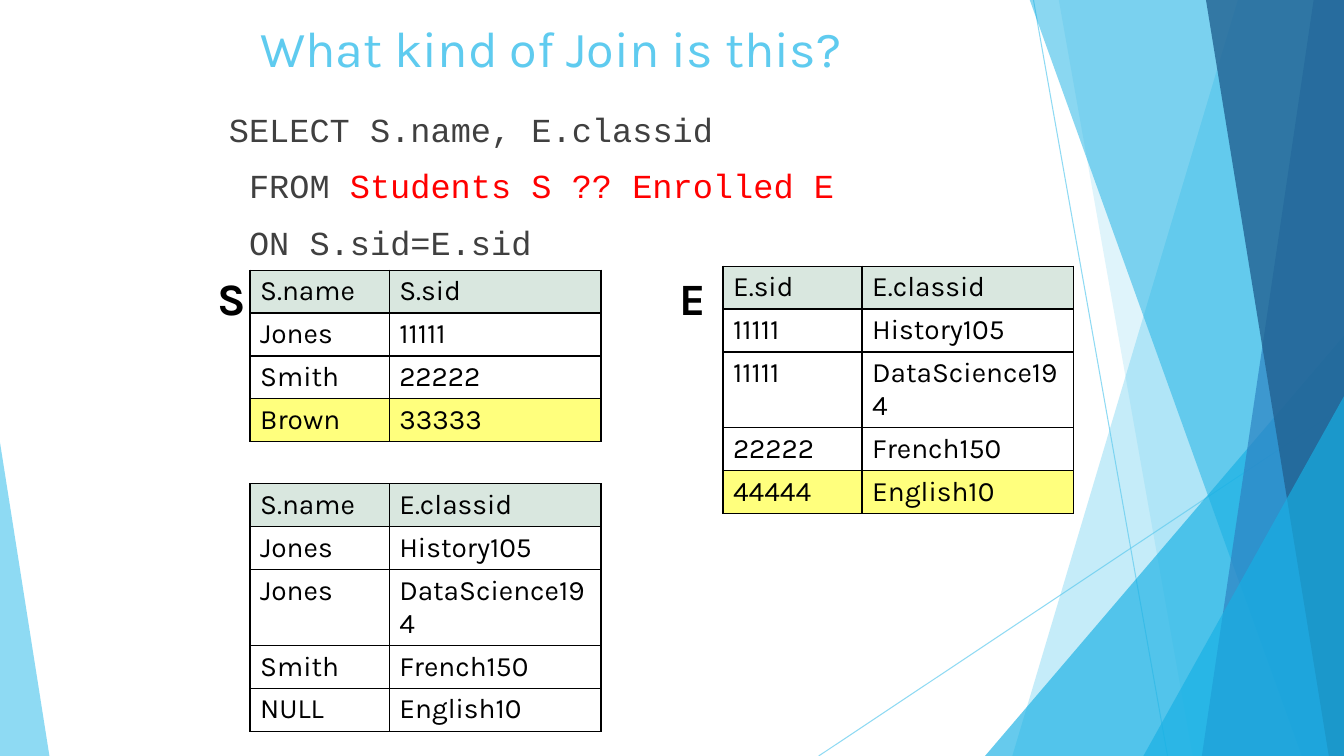
from lxml import etree
from pptx import Presentation
from pptx.dml.color import RGBColor
from pptx.enum.shapes import MSO_CONNECTOR, MSO_SHAPE
from pptx.enum.text import MSO_ANCHOR, MSO_AUTO_SIZE, PP_ALIGN
from pptx.oxml.ns import qn
from pptx.util import Inches, Pt

STRAIGHT = MSO_CONNECTOR.STRAIGHT
TRIANGLE = MSO_SHAPE.ISOSCELES_TRIANGLE
LEFT = PP_ALIGN.LEFT
TOP = MSO_ANCHOR.TOP
FIXED, GROW = MSO_AUTO_SIZE.NONE, MSO_AUTO_SIZE.SHAPE_TO_FIT_TEXT

WIDTH, HEIGHT = 13.33, 7.5
SKY, CYAN, BLUE, NAVY = "5FCBEF", "17B0E4", "2E83C3", "226292"
BLACK, GREY, RED = "000000", "404040", "FF0000"
HEADER, MARKED = "D9E7DF", "FFFF7D"


def color(value):
    return RGBColor.from_string(value)


class SlideBuilder:
    sans, mono = "Karla", "Courier New"

    def __init__(self, page):
        self.page = page
        self.shapes = page.shapes

    def tint(self, fill, value, opacity):
        fill.solid()
        fill.fore_color.rgb = color(value)
        # Opacity in percent
        shade = fill._xPr.find(".//" + qn("a:srgbClr"))
        etree.SubElement(shade, qn("a:alpha"), val=str(opacity * 1000))

    def plain(self, shape, value, opacity):
        shape.shadow.inherit = False
        shape.line.fill.background()
        self.tint(shape.fill, value, opacity)

    def line(self, start, end):
        ends = [Inches(length) for length in start + end]
        connector = self.shapes.add_connector(STRAIGHT, *ends)
        connector.line.width = Pt(0.75)
        self.tint(connector.line.fill, SKY, 70)
        etree.SubElement(connector._element.spPr, qn("a:effectLst"))

    def band(self, top_left, bottom_left, value, opacity):
        """Fill from a slanted left edge to the right slide edge."""
        corners = [(top_left, -0.01), (WIDTH, -0.01), (WIDTH, HEIGHT), (bottom_left, HEIGHT)]
        points = [(Inches(x), Inches(y)) for x, y in corners]
        outline = self.shapes.build_freeform(*points[0], scale=1.0)
        outline.add_line_segments(points[1:], close=True)
        self.plain(outline.convert_to_shape(), value, opacity)

    def triangle(self, left, top, width, apex, value, opacity):
        """Triangle standing on the bottom slide edge."""
        shape = self.shapes.add_shape(
            TRIANGLE, Inches(left), Inches(top), Inches(width), Inches(HEIGHT - top))
        shape.adjustments[0] = apex
        self.plain(shape, value, opacity)

    def style(self, para, size, value, font, bold=False):
        para.alignment = LEFT
        para.font.size = Pt(size)
        para.font.name = font
        para.font.bold = bold
        para.font.color.rgb = color(value)

    def place(self, box, left, top, width, height):
        box.left, box.top = Inches(left), Inches(top)
        box.width, box.height = Inches(width), Inches(height)
        box.text_frame.auto_size = FIXED
        box.text_frame.vertical_anchor = TOP
        box.text_frame.margin_top = Inches(0.09)
        # Bring the placeholder in front of the decoration
        self.shapes._spTree.append(box._element)

    def title(self, text, *place):
        box = self.shapes.title
        self.place(box, *place)
        box.text_frame.text = text
        self.style(box.text_frame.paragraphs[0], 36, SKY, self.sans)

    def code(self, lines, *place):
        box = self.page.placeholders[1]
        self.place(box, *place)
        frame = box.text_frame
        for index, spans in enumerate(lines):
            para = frame.add_paragraph() if index else frame.paragraphs[0]
            properties = para._p.get_or_add_pPr()
            properties.set("marL", "0")
            properties.set("indent", "0")
            etree.SubElement(properties, qn("a:buNone"))
            para.space_before = Pt(11.5)
            self.style(para, 24, GREY, self.mono)
            for text, value in spans:
                span = para.add_run()
                span.text = text
                span.font.color.rgb = color(value)

    def label(self, text, left, top, width):
        box = self.shapes.add_textbox(Inches(left), Inches(top), Inches(width), Inches(0.64))
        box.text_frame.word_wrap = False
        box.text_frame.auto_size = GROW
        box.text_frame.text = text
        self.style(box.text_frame.paragraphs[0], 32, BLACK, self.sans, bold=True)

    def border(self, cell):
        properties = cell._tc.get_or_add_tcPr()
        for index, side in enumerate(("lnL", "lnR", "lnT", "lnB")):
            edge = etree.Element(qn("a:" + side), w=str(Pt(1)))
            fill = etree.SubElement(edge, qn("a:solidFill"))
            etree.SubElement(fill, qn("a:srgbClr"), val=BLACK)
            properties.insert(index, edge)

    def table(self, left, top, rows, marked_row=None):
        widths, row_height = (1.38, 2.1), 0.41
        table = self.shapes.add_table(
            len(rows), len(widths), Inches(left), Inches(top),
            Inches(sum(widths)), Inches(row_height * len(rows))).table
        table.first_row = table.horz_banding = False
        for column, width in zip(table.columns, widths):
            column.width = Inches(width)
        fills = {0: HEADER, marked_row: MARKED}
        for row_index, texts in enumerate(rows):
            table.rows[row_index].height = Inches(row_height)
            for column_index, text in enumerate(texts):
                cell = table.cell(row_index, column_index)
                cell.text = text
                self.style(cell.text_frame.paragraphs[0], 20, BLACK, self.sans)
                if row_index in fills:
                    cell.fill.solid()
                    cell.fill.fore_color.rgb = color(fills[row_index])
                else:
                    cell.fill.background()
                self.border(cell)


def main():
    deck = Presentation()
    deck.slide_width, deck.slide_height = Inches(WIDTH), Inches(HEIGHT)
    slide = SlideBuilder(deck.slides.add_slide(deck.slide_layouts[1]))

    # Decoration
    slide.line((10.25, 0), (11.58, HEIGHT))
    slide.line((WIDTH, 4.03), (8.12, HEIGHT))
    slide.band(12.28, 10.04, SKY, 36)
    slide.band(10.5, 11.83, SKY, 20)
    slide.triangle(9.77, 3.33, 3.56, 1, CYAN, 66)
    slide.band(10.21, 12.91, CYAN, 50)
    slide.band(13.03, 11.92, BLUE, 70)
    slide.band(11.96, 13.18, NAVY, 80)
    slide.triangle(11.34, 3.93, 1.99, 1, CYAN, 66)
    slide.triangle(0, 4.39, 0.49, 0, SKY, 70)

    # Title and query
    slide.title("What kind of Join is this?", 2.48, 0.08, 8.48, 0.91)
    slide.code([
        [("SELECT S.name, E.classid", GREY)],
        [(" FROM ", GREY), ("Students S ?? Enrolled E", RED)],
        [(" ON S.sid=E.sid", GREY)],
    ], 2.17, 0.99, 9.19, 6.19)

    # Source tables and join result
    slide.table(2.48, 2.68, [
        ("S.name", "S.sid"), ("Jones", "11111"), ("Smith", "22222"), ("Brown", "33333"),
    ], marked_row=3)
    slide.table(7.17, 2.64, [
        ("E.sid", "E.classid"), ("11111", "History105"), ("11111", "DataScience194"),
        ("22222", "French150"), ("44444", "English10"),
    ], marked_row=4)
    slide.table(2.48, 4.8, [
        ("S.name", "E.classid"), ("Jones", "History105"), ("Jones", "DataScience194"),
        ("Smith", "French150"), ("NULL", "English10"),
    ])

    # Table labels
    slide.label("E", 6.64, 2.64, 0.46)
    slide.label("S", 2.06, 2.64, 0.43)

    deck.save("out.pptx")


if __name__ == "__main__":
    main()
